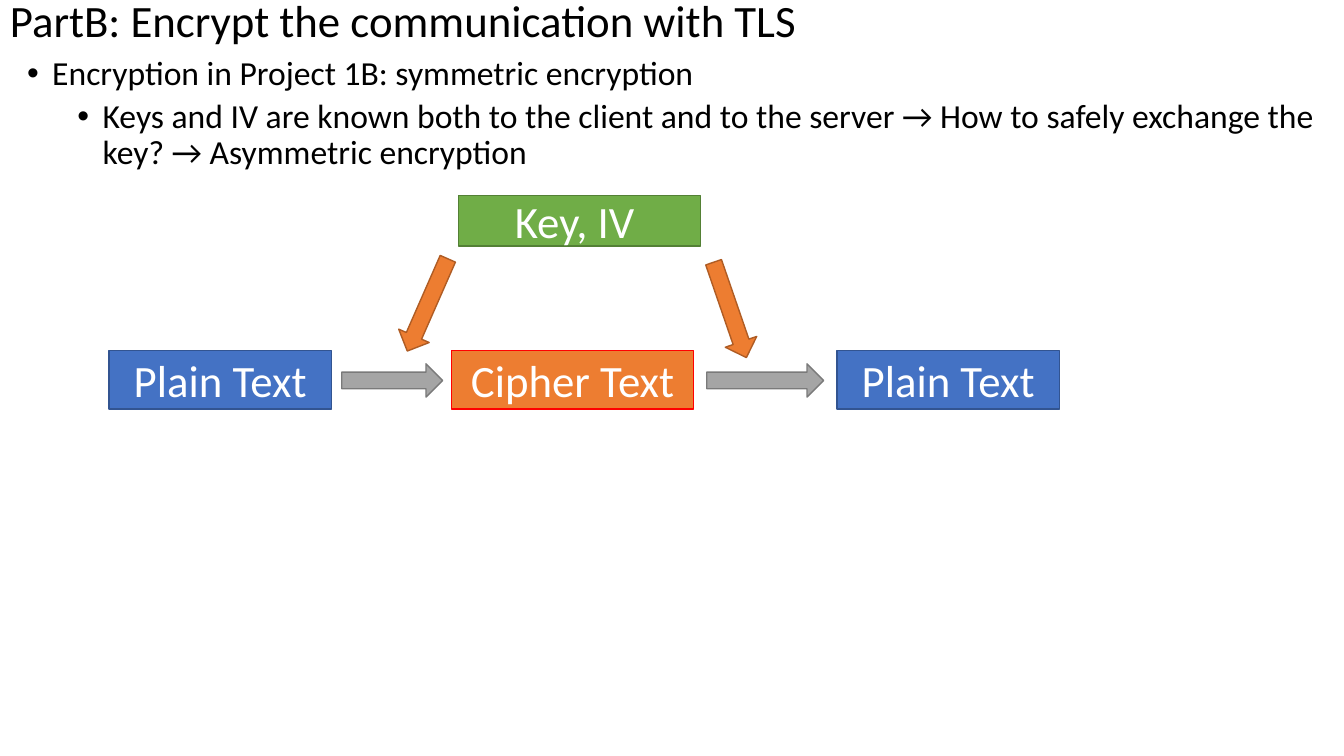
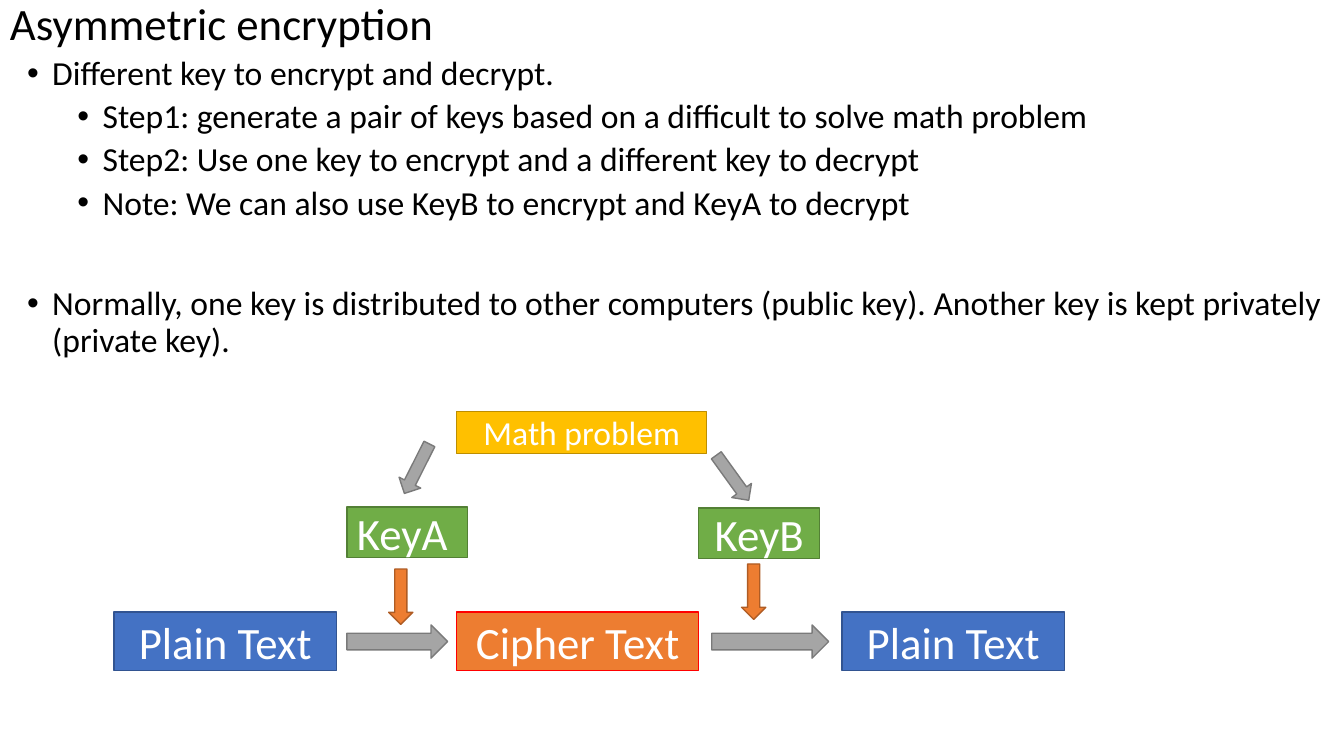
from pptx import Presentation
from pptx.dml.color import RGBColor
from pptx.enum.shapes import MSO_SHAPE as Preset
from pptx.enum.text import MSO_ANCHOR as Anchor, PP_ALIGN as Align
from pptx.oxml.ns import qn
from pptx.util import Inches, Pt
from lxml import etree

FONT = "Calibri"
BLACK, WHITE = "000000", "FFFFFF"
BLUE = ("4472C4", "325491")
ORANGE = ("ED7D31", "AF5C24")
CIPHER = ("ED7D31", "FF0000")
GREY = ("A5A5A5", "7A7A7A")
GREEN = ("70AD47", "538035")
GOLD = ("FFC000", "BD8E00")
TEXT_WIDTH = 13.06


def color(value):
    return RGBColor.from_string(value)


def style_runs(paragraph, size, value):
    for run in paragraph.runs:
        run.font.name = FONT
        run.font.size = Pt(size)
        run.font.color.rgb = color(value)


def add_text_frame(slide, left, top, width, height):
    box = slide.shapes.add_textbox(Inches(left), Inches(top), Inches(width), Inches(height))
    box.text_frame.word_wrap = True
    return box.text_frame


def add_title(slide, text, top):
    frame = add_text_frame(slide, 0, top, TEXT_WIDTH, 1.25)
    frame.vertical_anchor = Anchor.MIDDLE
    frame.text = text
    frame.paragraphs[0].line_spacing = 0.9
    style_runs(frame.paragraphs[0], 32, BLACK)


def add_bullets(slide, items):
    frame = add_text_frame(slide, 0.17, 0.51, TEXT_WIDTH, 7.13)
    frame.text = "\n".join(text for level, space, text in items)
    for paragraph, (level, space, text) in zip(frame.paragraphs, items):
        paragraph.level = level
        paragraph.line_spacing = 0.9
        paragraph.space_before = Pt(space)
        style_runs(paragraph, 24, BLACK)
        properties = paragraph._p.get_or_add_pPr()
        properties.set("marL", str(Inches(0.25 + 0.5 * level)))
        properties.set("indent", str(Inches(-0.25)))
        etree.SubElement(properties, qn("a:buFont"), typeface="Arial")
        etree.SubElement(properties, qn("a:buChar"), char="•")


def add_figure(slide, preset, left, top, width, height, colors):
    shape = slide.shapes.add_shape(preset, Inches(left), Inches(top), Inches(width), Inches(height))
    fill, line = colors
    shape.shadow.inherit = False
    shape.fill.solid()
    shape.fill.fore_color.rgb = color(fill)
    shape.line.color.rgb = color(line)
    shape.line.width = Pt(1)
    return shape


def add_box(slide, text, left, top, width, height, colors, size=32):
    shape = add_figure(slide, Preset.RECTANGLE, left, top, width, height, colors)
    frame = shape.text_frame
    frame.word_wrap = True
    frame.vertical_anchor = Anchor.MIDDLE
    frame.text = text
    frame.paragraphs[0].alignment = Align.CENTER
    style_runs(frame.paragraphs[0], size, WHITE)


def add_arrow(slide, left, top, width, height, colors, rotation=0):
    shape = add_figure(slide, Preset.RIGHT_ARROW, left, top, width, height, colors)
    shape.rotation = rotation


def add_cipher_row(slide, left, top):
    for offset in (0, 7.22):
        add_box(slide, "Plain Text", left + offset, top, 2.21, 0.58, BLUE)
    add_box(slide, "Cipher Text", left + 3.4, top, 2.4, 0.58, CIPHER)
    for offset, width in ((2.31, 1), (5.93, 1.16)):
        add_arrow(slide, left + offset, top + 0.13, width, 0.33, GREY)


def add_shared_key_diagram(slide, left, top):
    add_cipher_row(slide, left, top + 1.54)
    add_box(slide, "Key, IV ", left + 3.47, top, 2.4, 0.5, GREEN)
    add_arrow(slide, left + 2.66, top + 0.92, 1, 0.33, ORANGE, 113.7)
    add_arrow(slide, left + 5.66, top + 0.97, 1, 0.33, ORANGE, 71)


def add_key_pair_diagram(slide, left, top):
    add_cipher_row(slide, left, top + 1.99)
    add_box(slide, "Math problem", left + 3.4, top, 2.48, 0.42, GOLD, 24)
    for text, key_left, key_top in (("KeyA ", 2.31, 0.95), ("KeyB", 5.8, 0.96)):
        add_box(slide, text, left + key_left, top + key_top, 1.2, 0.5, GREEN)
    for arrow_left, arrow_top, colors, rotation in (
        (2.73, 0.45, GREY, 116.8),
        (5.86, 0.54, GREY, 54.2),
        (2.57, 1.72, ORANGE, 90),
        (6.07, 1.67, ORANGE, 90),
    ):
        add_arrow(slide, left + arrow_left, top + arrow_top, 0.55, 0.24, colors, rotation)


def add_slide(presentation, title, title_top, items):
    slide = presentation.slides.add_slide(presentation.slide_layouts[6])
    add_title(slide, title, title_top)
    add_bullets(slide, items)
    return slide


def build_symmetric_slide(presentation):
    slide = add_slide(presentation, "PartB: Encrypt the communication with TLS", -0.4, [
        (0, 10, "Encryption in Project 1B: symmetric encryption"),
        (1, 5, "Keys and IV are known both to the client and to the server → "
               "How to safely exchange the key? → Asymmetric encryption"),
    ])
    add_shared_key_diagram(slide, 1.08, 1.94)


def build_asymmetric_slide(presentation):
    slide = add_slide(presentation, "Asymmetric encryption", -0.37, [
        (0, 10, "Different key to encrypt and decrypt."),
        (1, 5, "Step1: generate a pair of keys based on a difficult to solve math problem"),
        (1, 5, "Step2: Use one key to encrypt and a different key to decrypt"),
        (1, 5, "Note: We can also use KeyB to encrypt and KeyA to decrypt"),
        (0, 46, "Normally, one key is distributed to other computers (public key). "
                "Another key is kept privately (private key)."),
    ])
    add_key_pair_diagram(slide, 1.13, 4.08)


presentation = Presentation()
presentation.slide_width = Inches(13.33)
presentation.slide_height = Inches(7.5)
build_symmetric_slide(presentation)
build_asymmetric_slide(presentation)
presentation.save("out.pptx")
